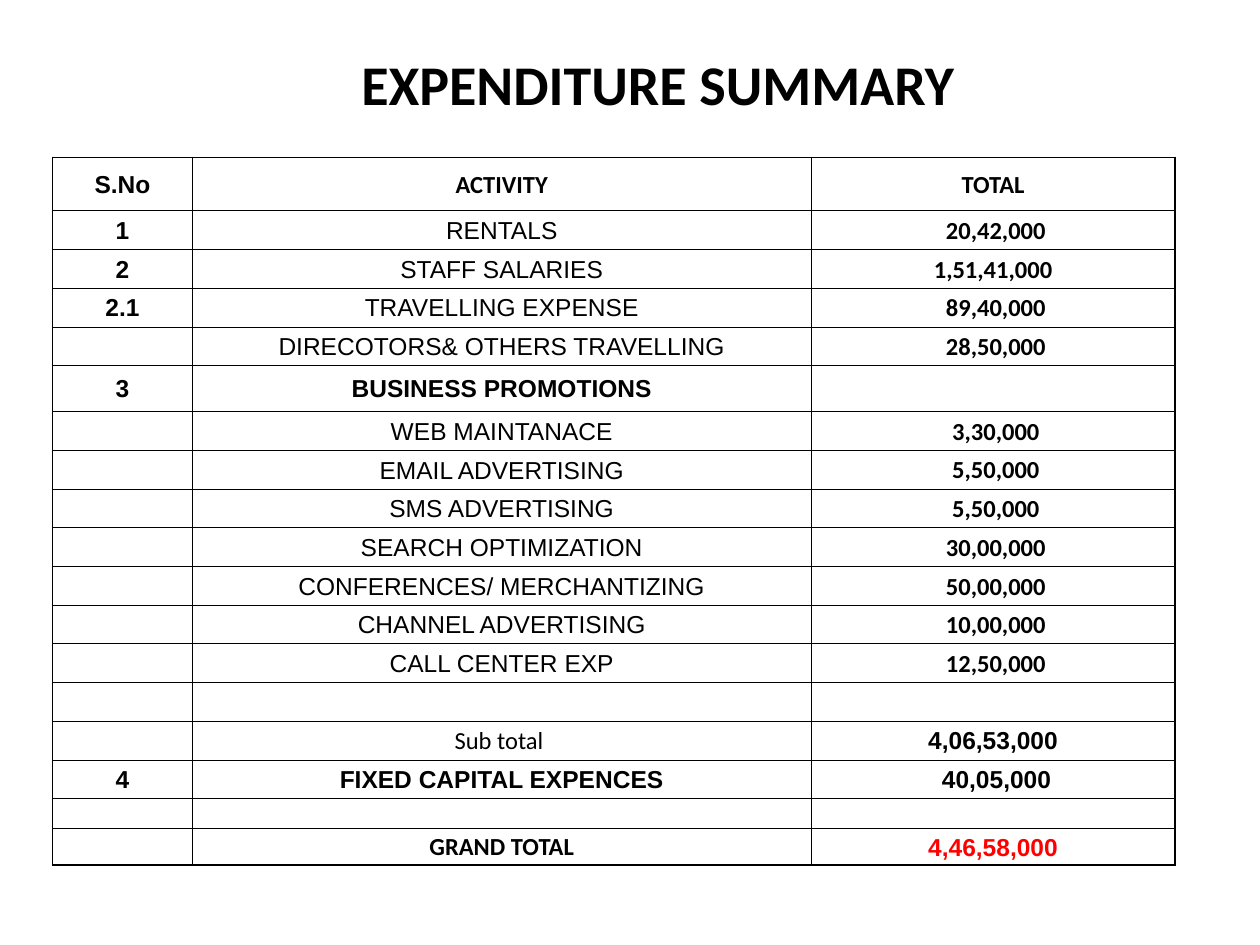
from dataclasses import dataclass

from lxml import etree
from pptx import Presentation
from pptx.dml.color import RGBColor
from pptx.enum import text
from pptx.oxml import ns
from pptx.util import Cm, Pt


@dataclass(frozen=True)
class Theme:
    ink: str = "000000"
    highlight: str = "FF0000"
    heading: str = "Calibri"
    body: str = "Arial"
    title_size: int = 32
    cell_size: int = 14
    outer_line: float = 1
    inner_line: float = 0.5


THEME = Theme()

EXPENSES = [
    ("S.No", "ACTIVITY", "TOTAL"),
    ("1", "RENTALS", " 20,42,000"),
    ("2", "STAFF SALARIES", "1,51,41,000"),
    ("2.1", "TRAVELLING EXPENSE", " 89,40,000"),
    ("", "DIRECOTORS& OTHERS TRAVELLING", " 28,50,000"),
    ("3", "BUSINESS PROMOTIONS", ""),
    ("", "WEB MAINTANACE", " 3,30,000"),
    ("", "EMAIL ADVERTISING", " 5,50,000"),
    ("", "SMS ADVERTISING", " 5,50,000"),
    ("", "SEARCH OPTIMIZATION", " 30,00,000"),
    ("", "CONFERENCES/ MERCHANTIZING", " 50,00,000"),
    ("", "CHANNEL ADVERTISING", " 10,00,000"),
    ("", "CALL CENTER EXP", " 12,50,000"),
    ("", "", ""),
    ("", "Sub total ", "4,06,53,000"),
    ("4", "FIXED CAPITAL EXPENCES", " 40,05,000"),
    ("", "", ""),
    ("", "GRAND TOTAL", "4,46,58,000"),
]
COLUMN_WIDTHS = (2.82, 12.47, 7.34)
ROW_HEIGHT = 0.78
SPECIAL_HEIGHTS = {0: 1.08, 5: 0.93, 16: 0.6, 17: 0.74}

SUBTOTAL, GRAND_TOTAL = 14, 17
BOLD_ACTIVITIES = {0, 5, 15, GRAND_TOTAL}
HEADING_ACTIVITIES = {0, SUBTOTAL, GRAND_TOTAL}


def style_paragraph(paragraph, size, family, bold, color=THEME.ink):
    paragraph.alignment = text.PP_ALIGN.CENTER
    font = paragraph.font
    font.size, font.name, font.bold = Pt(size), family, bold
    font.color.rgb = RGBColor.from_string(color)


def add_title(slide, wording):
    title = slide.shapes.title
    title.left, title.top, title.width, title.height = Cm(0), Cm(0.86), Cm(19.9), Cm(1.62)
    frame = title.text_frame
    frame.text = wording
    frame.vertical_anchor = text.MSO_ANCHOR.MIDDLE
    frame.margin_left, frame.margin_right = Cm(6.63), Cm(0)
    style_paragraph(frame.paragraphs[0], THEME.title_size, THEME.heading, True)


def set_borders(cell, widths):
    """Draw the sides of a cell; widths maps L, R, T, B to points."""
    properties = cell._tc.get_or_add_tcPr()
    for side, width in widths.items():
        line = etree.SubElement(properties, ns.qn(f"a:ln{side}"), w=str(Pt(width)))
        fill = etree.SubElement(line, ns.qn("a:solidFill"))
        etree.SubElement(fill, ns.qn("a:srgbClr"), val=THEME.ink)


def cell_style(row, column):
    """Return family, bold and colour by the cell's role in the summary."""
    if column == 0:
        return THEME.body, True, THEME.ink
    if column == 1:
        family = THEME.heading if row in HEADING_ACTIVITIES else THEME.body
        return family, row in BOLD_ACTIVITIES, THEME.ink
    family = THEME.body if row >= SUBTOTAL else THEME.heading
    return family, True, THEME.highlight if row == GRAND_TOTAL else THEME.ink


def fill_cell(cell, wording, row, column):
    outer, inner = THEME.outer_line, THEME.inner_line
    set_borders(cell, {
        "L": outer if column == 0 else inner,
        "R": outer if column == len(COLUMN_WIDTHS) - 1 else inner,
        "T": outer if row == 0 else inner,
        "B": outer if row == len(EXPENSES) - 1 else inner,
    })
    cell.fill.background()
    cell.vertical_anchor = text.MSO_ANCHOR.MIDDLE
    cell.margin_left = cell.margin_right = cell.margin_top = Cm(0.03)
    cell.margin_bottom = Cm(0)
    cell.text = wording
    family, bold, color = cell_style(row, column)
    style_paragraph(cell.text_frame.paragraphs[0], THEME.cell_size, family, bold, color)


def add_expense_table(slide):
    heights = [SPECIAL_HEIGHTS.get(row, ROW_HEIGHT) for row in range(len(EXPENSES))]
    table = slide.shapes.add_table(
        len(EXPENSES), len(COLUMN_WIDTHS), Cm(1.06), Cm(3.17),
        Cm(sum(COLUMN_WIDTHS)), Cm(sum(heights))).table
    table.first_row = table.horz_banding = False
    for column, width in zip(table.columns, COLUMN_WIDTHS):
        column.width = Cm(width)
    for row, (height, entries) in enumerate(zip(heights, EXPENSES)):
        table.rows[row].height = Cm(height)
        for column, wording in enumerate(entries):
            fill_cell(table.cell(row, column), wording, row, column)


def main():
    presentation = Presentation()
    presentation.slide_width, presentation.slide_height = Cm(25.4), Cm(19.05)
    slide = presentation.slides.add_slide(presentation.slide_layouts[5])
    add_title(slide, "EXPENDITURE SUMMARY")
    add_expense_table(slide)
    presentation.save("out.pptx")


if __name__ == "__main__":
    main()
